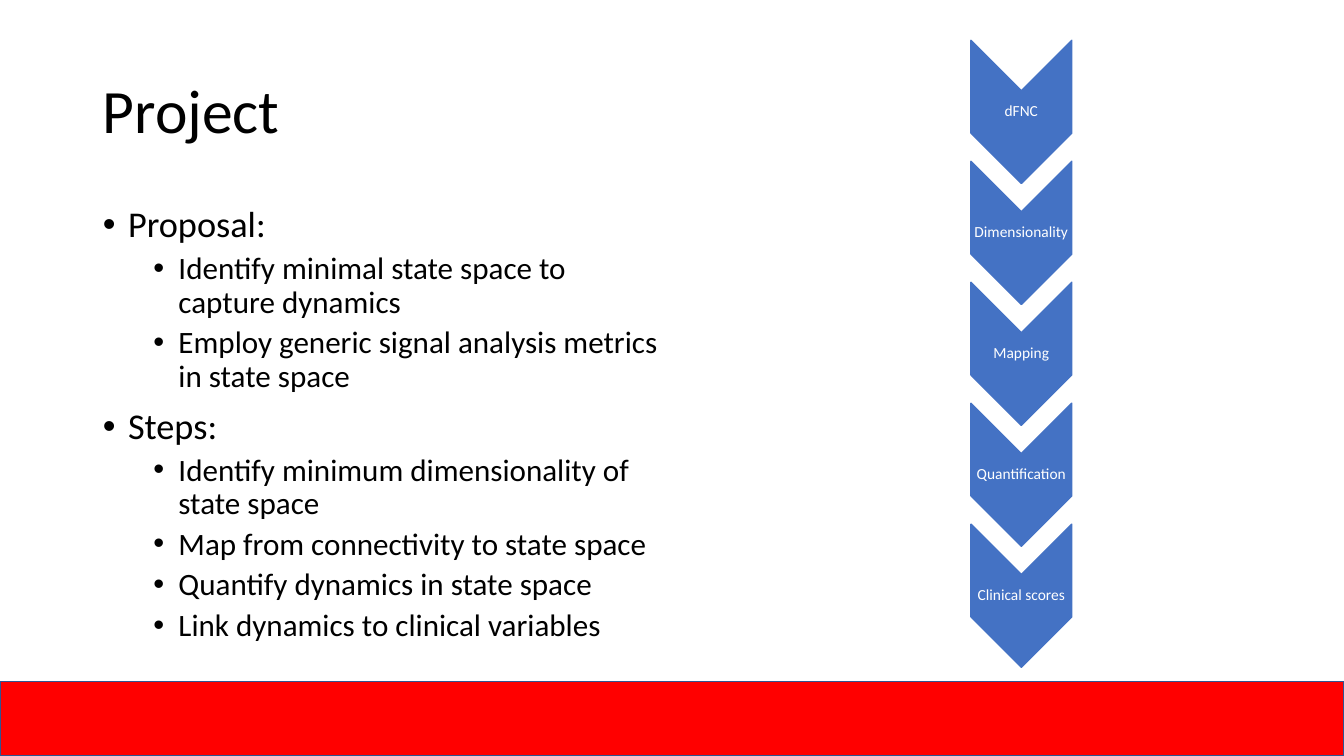
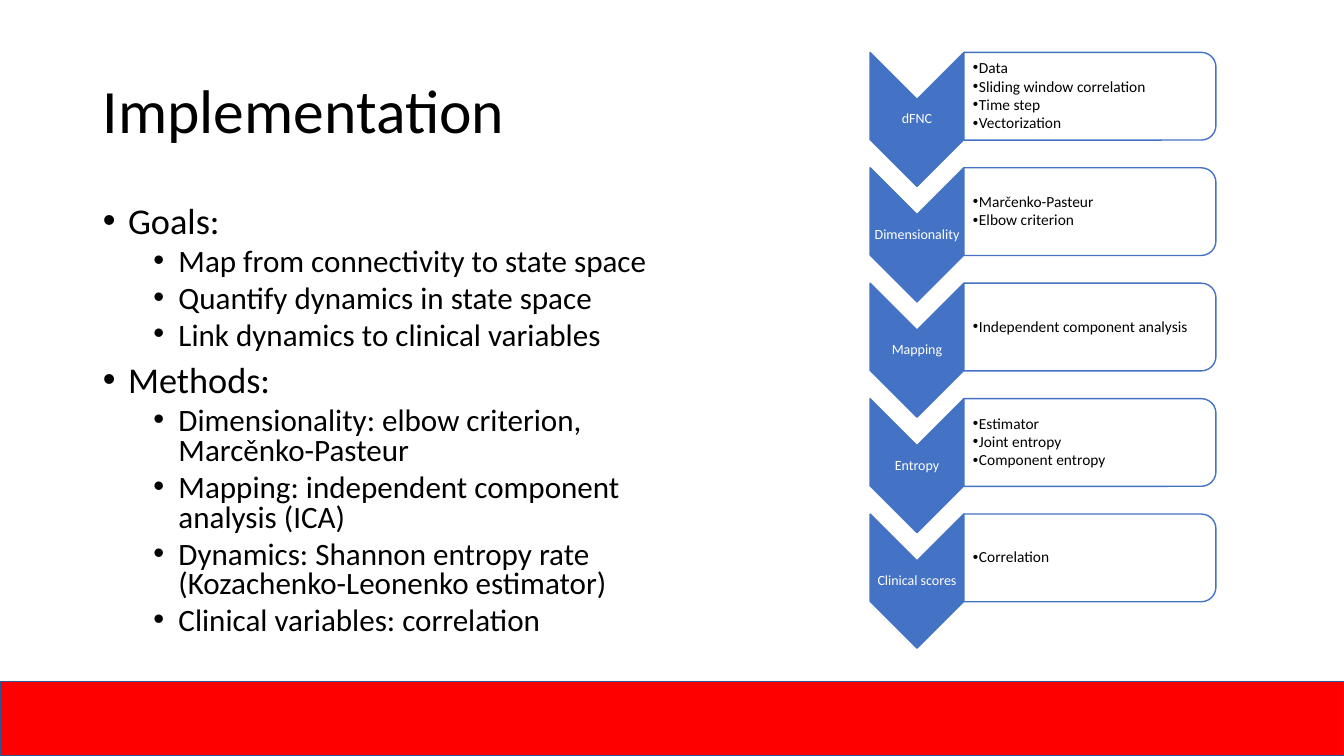
from pptx import Presentation
from pptx import util as u
from pptx.dml import color
from pptx.enum import shapes, text
from pptx.oxml import ns
from lxml import etree

PX = 9144
FONT = "Calibri"
BLACK, WHITE, RED, BLUE, NAVY = "000000", "FFFFFF", "FF0000", "4472C4", "325491"
LEFT, MID = text.PP_ALIGN.LEFT, text.PP_ALIGN.CENTER


def rgb(code):
    """Return the colour for a hex string."""
    return color.RGBColor.from_string(code)


def place(item, x, y, w, h):
    """Move an item to a box given in px."""
    item.left, item.top, item.width, item.height = (round(v * PX) for v in (x, y, w, h))


def style(para, size, code, align=LEFT, line=0.9, before=0, after=0):
    """Format one paragraph and its runs."""
    para.alignment, para.line_spacing = align, line
    para.space_before, para.space_after = u.Pt(before), u.Pt(after)
    for run in para.runs:
        run.font.name, run.font.size = FONT, u.Pt(size)
        run.font.color.rgb = rgb(code)


def bullet(para, indent, hang):
    """Give a paragraph a round bullet with a hanging indent in px."""
    props = para._p.get_or_add_pPr()
    props.set("marL", str(indent * PX))
    props.set("indent", str(-hang * PX))
    etree.SubElement(props, ns.qn("a:buFont")).set("typeface", "Arial")
    etree.SubElement(props, ns.qn("a:buChar")).set("char", "•")


def block(slide, kind, box, fill, line, turn=False):
    """Add a preset shape filling a box, turned a quarter if asked."""
    x, y, w, h = box
    shape = slide.shapes.add_shape(kind, 0, 0, 0, 0)
    if turn:
        place(shape, x + (w - h) / 2, y + (h - w) / 2, h, w)
        shape.rotation = 90
    else:
        place(shape, *box)
    shape.shadow.inherit = False
    shape.fill.solid()
    shape.fill.fore_color.rgb = rgb(fill)
    shape.line.color.rgb = rgb(line)
    shape.line.width = u.Pt(1)
    return shape


def label(slide, box, words, inset=1):
    """Add a wrapped, vertically centred text box and return its frame."""
    area = slide.shapes.add_textbox(0, 0, 0, 0)
    place(area, *box)
    frame = area.text_frame
    frame.word_wrap = True
    frame.vertical_anchor = text.MSO_ANCHOR.MIDDLE
    frame.margin_left = inset * PX
    frame.margin_top = frame.margin_right = frame.margin_bottom = PX
    frame.text = words
    return frame


def heading(slide, words):
    """Fill and place the title."""
    title = slide.shapes.title
    place(title, 92, 40, 1150, 145)
    frame = title.text_frame
    frame.text = words
    frame.auto_size = text.MSO_AUTO_SIZE.NONE
    frame.vertical_anchor = text.MSO_ANCHOR.MIDDLE
    style(frame.paragraphs[0], 44, BLACK)


def outline(slide, box, topics, line):
    """Fill the body with topics and their points."""
    body = slide.placeholders[1]
    place(body, *box)
    frame = body.text_frame
    rows = [(lvl, row) for topic, points in topics.items()
            for lvl, row in [(0, topic)] + [(1, point) for point in points]]
    frame.text = "\n".join(row for _, row in rows)
    frame.auto_size = text.MSO_AUTO_SIZE.NONE
    for num, (para, (lvl, _)) in enumerate(zip(frame.paragraphs, rows)):
        para.level = lvl
        bullet(para, 75 if lvl else 25, 25)
        gap = (5 if lvl else 10) if num else 0
        style(para, 22.2 if lvl else 25.9, BLACK, line=line, before=gap)


def panel(slide, box, notes):
    """Add a rounded panel with a list of notes."""
    x, y, w, h = box
    block(slide, shapes.MSO_SHAPE.ROUND_2_SAME_RECTANGLE, box, WHITE, BLUE, True)
    frame = label(slide, (x, y + 4, w - 4, h - 8), "\n".join(notes), 9)
    for para in frame.paragraphs:
        bullet(para, 6, 6)
        style(para, 11, BLACK, after=1.3)


def chain(slide, box, wide, tall, size, steps):
    """Stack chevrons evenly in a box, with panels beside those that have notes."""
    x, y, w, h = box
    pitch = (h - tall) / (len(steps) - 1)
    for num, (name, notes) in enumerate(steps):
        top = y + num * pitch
        block(slide, shapes.MSO_SHAPE.CHEVRON, (x, top, wide, tall), BLUE, BLUE, True)
        frame = label(slide, (x, top + wide / 2, wide, tall - wide), name)
        style(frame.paragraphs[0], size, WHITE, MID)
        if notes:
            panel(slide, (x + wide, top, w - wide, 87), notes)


def page(deck, title):
    """Add a slide with its title and bottom band."""
    slide = deck.slides.add_slide(deck.slide_layouts[1])
    heading(slide, title)
    block(slide, shapes.MSO_SHAPE.RECTANGLE, (0, 676, 1333, 74), RED, NAVY)
    return slide


def project(deck):
    """Build the project slide."""
    slide = page(deck, "Project")
    outline(slide, (92, 200, 575, 444), {
        "Proposal:": [
            "Identify minimal state space to capture dynamics",
            "Employ generic signal analysis metrics in state space"],
        "Steps:": [
            "Identify minimum dimensionality of state space",
            "Map from connectivity to state space",
            "Quantify dynamics in state space",
            "Link dynamics to clinical variables"],
    }, 0.9)
    names = ["dFNC", "Dimensionality", "Mapping", "Quantification", "Clinical scores"]
    chain(slide, (963, 40, 100, 622), 100, 142, 11, [(name, []) for name in names])


def method(deck):
    """Build the implementation slide."""
    slide = page(deck, "Implementation")
    outline(slide, (92, 200, 620, 444), {
        "Goals:": [
            "Map from connectivity to state space",
            "Quantify dynamics in state space",
            "Link dynamics to clinical variables"],
        "Methods:": [
            "Dimensionality: elbow criterion, Marcěnko-Pasteur",
            "Mapping: independent component analysis (ICA)",
            "Dynamics: Shannon entropy rate (Kozachenko-Leonenko estimator)",
            "Clinical variables: correlation"],
    }, 0.8)
    chain(slide, (863, 52, 343, 591), 93, 133, 10, [
        ("dFNC", ["Data", "Sliding window correlation", "Time step", "Vectorization"]),
        ("Dimensionality", ["Marčenko-Pasteur", "Elbow criterion"]),
        ("Mapping", ["Independent component analysis"]),
        ("Entropy", ["Estimator", "Joint entropy", "Component entropy"]),
        ("Clinical scores", ["Correlation"]),
    ])


def main():
    """Build and save the deck."""
    deck = Presentation()
    deck.slide_width, deck.slide_height = 1333 * PX, 750 * PX
    project(deck)
    method(deck)
    deck.save("out.pptx")


if __name__ == "__main__":
    main()
